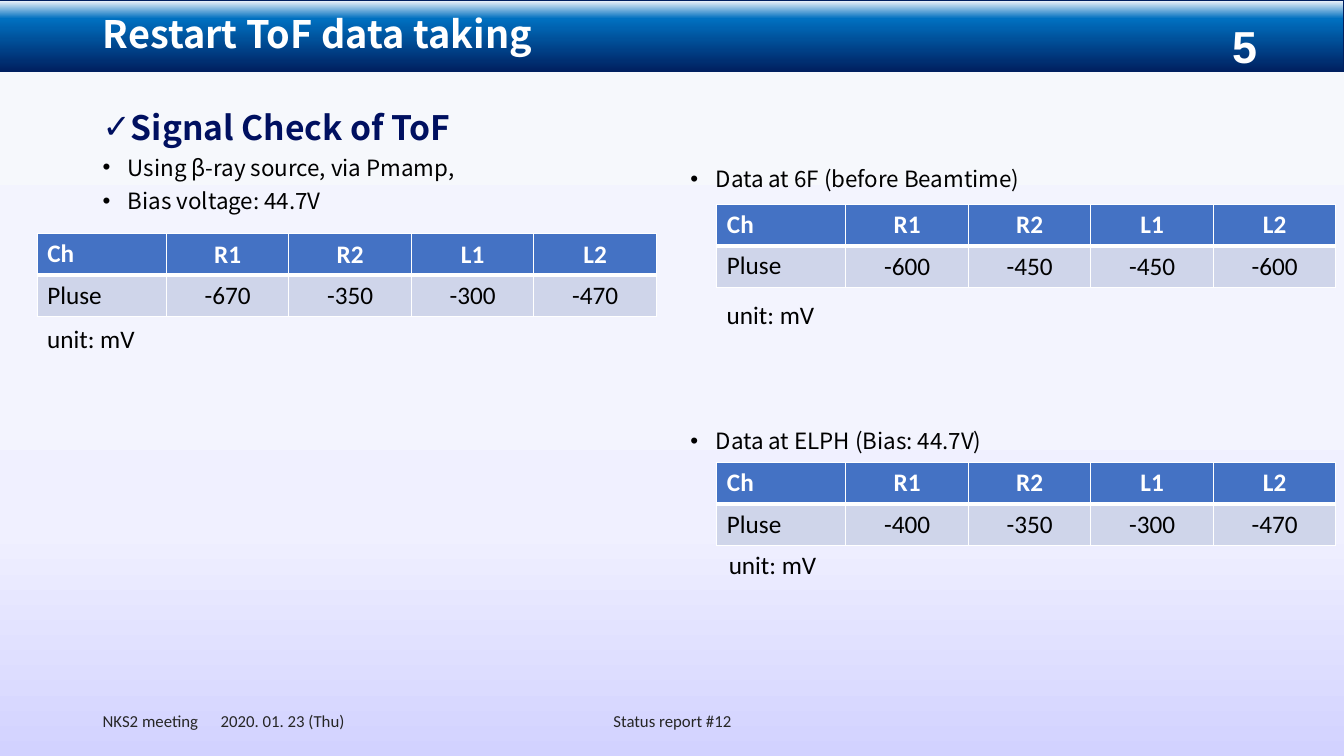
from pptx import Presentation
from pptx.dml.color import RGBColor
from pptx.enum.shapes import MSO_SHAPE
from pptx.enum.text import MSO_ANCHOR, PP_ALIGN
from pptx.oxml import parse_xml
from pptx.oxml.ns import nsdecls, qn
from pptx.util import Inches, Pt

LEFT, CENTER = PP_ALIGN.LEFT, PP_ALIGN.CENTER
TOP, MIDDLE = MSO_ANCHOR.TOP, MSO_ANCHOR.MIDDLE
SANS, CALIBRI, ARIAL = "Noto Sans CJK JP", "Calibri", "Arial"

# Content
TITLE = "Restart ToF data taking"
PAGE_NUMBER = "5"
FOOTERS = [
    ("NKS2 meeting\t2020. 01. 23 (Thu)", (0.92, 6.95, 3, 0.4), LEFT),
    ("Status report #12", (4.42, 6.95, 4.5, 0.4), CENTER),
]
HEADING = dict(name=SANS, size=Pt(24), bold=True, color="001060")
POINT = dict(name=SANS, size=Pt(16), bold=False, color="000000")
# Each bullet: mark, text, format, space before in points
BULLETS = [
    ((0.92, 1.09, 5.67, 5.48), [
        ("✓", "Signal Check of ToF", HEADING, 0),
        ("•", "Using β-ray source, via Pmamp,", POINT, 8.5),
        ("•", "Bias voltage: 44.7V", POINT, 8.5),
    ]),
    ((6.75, 1.64, 5.67, 4.92), [
        ("•", "Data at 6F (before Beamtime)", POINT, 0),
        ("•", "Data at ELPH (Bias: 44.7V)", POINT, 172),
    ]),
]
CHANNELS = ["Ch", "R1", "R2", "L1", "L2"]
UNIT = "unit: mV"
# Each measurement: table corner, unit label corner, pulse heights
MEASUREMENTS = [
    ((0.37, 2.32), (0.37, 3.16), [-670, -350, -300, -470]),
    ((7.11, 2.03), (7.11, 2.92), [-600, -450, -450, -600]),
    ((7.11, 4.59), (7.13, 5.4), [-400, -350, -300, -470]),
]
COLUMN_WIDTHS = [1.28] + [1.215] * 4
ROW_HEIGHT = 0.41
BACKGROUND = [(0, "F6F8FC"), (49, "F3F4FE"), (70, "F0F0FF"), (100, "D2D2FF")]
BANNER = [(0, "F6F8FC"), (26, "0070C0"), (100, "002060")]


def rgb(value):
    return RGBColor.from_string(value)


def set_font(font, color, **values):
    for key, value in values.items():
        setattr(font, key, value)
    font.color.rgb = rgb(color)


def set_gradient(fill, owner, stops):
    fill.gradient()
    fill.gradient_angle = 270
    stop_list = owner.find(".//" + qn("a:gsLst"))
    for stop in list(stop_list):
        stop_list.remove(stop)
    for percent, color in stops:
        stop_list.append(parse_xml(
            f'<a:gs {nsdecls("a")} pos="{percent * 1000}">'
            f'<a:srgbClr val="{color}"/></a:gs>'))


def add_text(box, text, align=LEFT, anchor=TOP, **font):
    frame = slide.shapes.add_textbox(*map(Inches, box)).text_frame
    frame.word_wrap = True
    frame.vertical_anchor = anchor
    paragraph = frame.paragraphs[0]
    paragraph.text = text
    paragraph.alignment = align
    if "\t" in text:
        paragraph._p.get_or_add_pPr().append(parse_xml(
            f'<a:tabLst {nsdecls("a")}>'
            f'<a:tab pos="{Inches(1.17)}" algn="l"/></a:tabLst>'))
    set_font(paragraph.runs[0].font, **font)


def add_bullets(box, bullets):
    frame = slide.shapes.add_textbox(*map(Inches, box)).text_frame
    frame.word_wrap = True
    for index, (mark, text, font, space) in enumerate(bullets):
        paragraph = frame.add_paragraph() if index else frame.paragraphs[0]
        paragraph.text = text
        paragraph.line_spacing = 0.8
        paragraph.space_before = Pt(space)
        properties = paragraph._p.get_or_add_pPr()
        properties.set("marL", str(Inches(0.25)))
        properties.set("indent", str(-Inches(0.25)))
        properties.append(parse_xml(
            f'<a:buFont {nsdecls("a")} typeface="{ARIAL}"/>'))
        properties.append(parse_xml(
            f'<a:buChar {nsdecls("a")} char="{mark}"/>'))
        set_font(paragraph.runs[0].font, **font)


def set_borders(cell, widths):
    properties = cell._tc.get_or_add_tcPr()
    for side, width in widths.items():
        properties.append(parse_xml(
            f'<a:ln{side} {nsdecls("a")} w="{Pt(width)}"><a:solidFill>'
            f'<a:srgbClr val="FFFFFF"/></a:solidFill></a:ln{side}>'))


def add_measurement(corner, heights):
    rows = [CHANNELS, ["Pluse", *map(str, heights)]]
    table = slide.shapes.add_table(
        len(rows), len(CHANNELS), *map(Inches, corner),
        Inches(sum(COLUMN_WIDTHS)), Inches(ROW_HEIGHT * len(rows))).table
    for column, width in zip(table.columns, COLUMN_WIDTHS):
        column.width = Inches(width)
    for r, row in enumerate(rows):
        header = r == 0
        table.rows[r].height = Inches(ROW_HEIGHT)
        for c, text in enumerate(row):
            cell = table.cell(r, c)
            cell.text = text
            cell.vertical_anchor = MIDDLE if c else TOP
            set_borders(cell, {"L": 1, "R": 1, "T": 1 if header else 3,
                               "B": 3 if header else 1})
            cell.fill.solid()
            cell.fill.fore_color.rgb = rgb("4472C4" if header else "CFD5EA")
            paragraph = cell.text_frame.paragraphs[0]
            paragraph.alignment = CENTER if c else LEFT
            set_font(paragraph.runs[0].font, name=CALIBRI, size=Pt(18),
                     bold=header, color="FFFFFF" if header else "000000")


# Slide and background
deck = Presentation()
deck.slide_width, deck.slide_height = Inches(13.33), Inches(7.5)
slide = deck.slides.add_slide(deck.slide_layouts[5])
set_gradient(slide.background.fill, slide.element, BACKGROUND)

# Banner with title and page number
banner = slide.shapes.add_shape(
    MSO_SHAPE.RECTANGLE, 0, 0, deck.slide_width, Inches(0.71))
banner.shadow.inherit = False
set_gradient(banner.fill, banner.element, BANNER)
banner.line.color.rgb = rgb("002060")
banner.line.width = Pt(0.75)

title = slide.shapes.title
slide.shapes.element.append(title.element)  # in front of the banner
title.left, title.top, title.width, title.height = map(
    Inches, (0.92, 0, 11.5, 0.71))
title.text_frame.text = TITLE
title.text_frame.vertical_anchor = MIDDLE
heading = title.text_frame.paragraphs[0]
heading.alignment = LEFT
heading.line_spacing = 0.9
set_font(heading.runs[0].font, name=SANS, size=Pt(27), bold=True,
         color="FFFFFF")
add_text((11.36, 0, 1.97, 0.91), PAGE_NUMBER, CENTER, MIDDLE,
         name=ARIAL, size=Pt(32), bold=True, color="FFFFFF")

# Bullets, tables and footers
for box, bullets in BULLETS:
    add_bullets(box, bullets)
for table_corner, unit_corner, heights in MEASUREMENTS:
    add_measurement(table_corner, heights)
    add_text((*unit_corner, 1.1, 0.4), UNIT,
             name=CALIBRI, size=Pt(18), color="000000")
for text, box, align in FOOTERS:
    add_text(box, text, align, MIDDLE,
             name=CALIBRI, size=Pt(12), color="262626")

deck.save("out.pptx")
